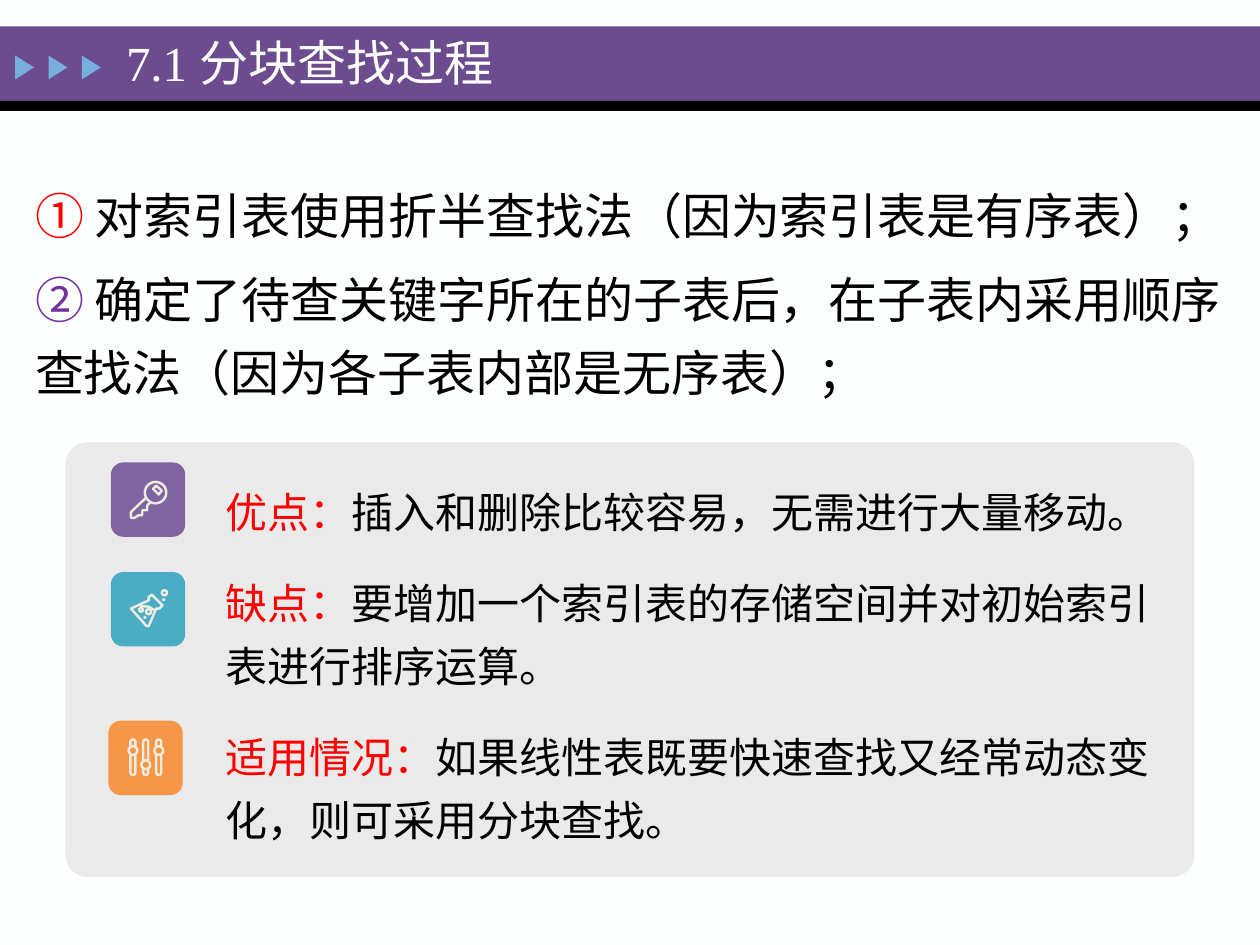
from dataclasses import dataclass

from pptx import Presentation
from pptx.dml.color import RGBColor
from pptx.enum.shapes import MSO_SHAPE
from pptx.enum.text import MSO_ANCHOR, MSO_AUTO_SIZE, PP_ALIGN
from pptx.util import Inches, Pt

RECTANGLE = MSO_SHAPE.RECTANGLE
ROUNDED = MSO_SHAPE.ROUNDED_RECTANGLE
TRIANGLE = MSO_SHAPE.ISOSCELES_TRIANGLE
OVAL = MSO_SHAPE.OVAL
MIDDLE, TOP = MSO_ANCHOR.MIDDLE, MSO_ANCHOR.TOP
LEFT = PP_ALIGN.LEFT
FIXED = MSO_AUTO_SIZE.NONE


@dataclass(frozen=True)
class Theme:
    """Colours, font and sizes of the slide."""

    font: str = "Times New Roman"
    paper: str = "FEFFFF"
    band: str = "6C4C8F"
    ink: str = "000000"
    arrow: str = "76AEDD"
    accent: str = "FF0000"
    second: str = "7030A0"
    panel: str = "EAEAEA"
    stroke: str = "EEECE1"
    purple: str = "8064A2"
    teal: str = "4BACC6"
    orange: str = "F79646"
    large: float = 28
    medium: float = 24
    stroke_width: float = 1.4


THEME = Theme()
STEPS = [
    ("① ", THEME.accent, "对索引表使用折半查找法（因为索引表是有序表）；"),
    ("② ", THEME.second, "确定了待查关键字所在的子表后，在子表内采用顺序查找法（因为各子表内部是无序表）；"),
]
REMARKS = [
    ("优点：", THEME.accent, "插入和删除比较容易，无需进行大量移动。"),
    ("缺点：", THEME.accent, "要增加一个索引表的存储空间并对初始索引表进行排序运算。"),
    ("适用情况：", THEME.accent, "如果线性表既要快速查找又经常动态变化，则可采用分块查找。"),
]
KEY_PATHS = [
    ([(280, 280), (160, 395), (160, 440), (190, 440), (220, 420), (250, 420),
      (250, 380), (290, 380), (290, 340), (320, 315)], False),
    ([(335, 210), (360, 185), (405, 225), (380, 255)], True),
]
KEY_RINGS = [(355, 240, 85)]
FLASK_PATHS = [
    ([(160, 290), (300, 225), (300, 200), (325, 180), (410, 265), (385, 290),
      (360, 290), (300, 430), (285, 430)], True),
    ([(230, 270), (300, 275), (350, 305)], False),
]
FLASK_RINGS = [(300, 315, 20), (425, 165, 20), (240, 300, 15), (270, 360, 3), (420, 220, 3)]
SLIDER_RINGS = [(195, 237, 35), (297, 350, 35), (400, 237, 35)]


def apply_format(target, values):
    """Set each named attribute of the target."""
    for name, value in values.items():
        setattr(target, name, value)


def add_block(shapes, kind, bounds, color):
    """Add a plain filled shape."""
    shape = shapes.add_shape(kind, *map(Inches, bounds))
    shape.shadow.inherit = False
    shape.fill.solid()
    shape.fill.fore_color.rgb = RGBColor.from_string(color)
    shape.line.fill.background()
    return shape


def add_span(para, text, size, color):
    """Add a run of text in one colour."""
    span = para.add_run()
    span.text = text
    apply_format(span.font, {"name": THEME.font, "size": Pt(size), "bold": False})
    span.font.color.rgb = RGBColor.from_string(color)


def add_items(page, bounds, items, size, gap):
    """Add a text box of paragraphs that open with a coloured label."""
    frame = page.shapes.add_textbox(*map(Inches, bounds)).text_frame
    apply_format(frame, {"word_wrap": True, "vertical_anchor": TOP})
    for index, (label, color, text) in enumerate(items):
        para = frame.add_paragraph() if index else frame.paragraphs[0]
        before = Pt(gap if index else 0)
        apply_format(para, {"line_spacing": 1.25, "space_before": before})
        add_span(para, label, size, color)
        add_span(para, text, size, THEME.ink)


def set_title(page, text):
    """Place the title placeholder on top of the header band."""
    title = page.shapes.title
    title.element.getparent().append(title.element)
    bounds = map(Inches, (0.9, 0.21, 8.12, 0.56))
    apply_format(title, dict(zip(("left", "top", "width", "height"), bounds)))
    frame = title.text_frame
    apply_format(frame, {"vertical_anchor": MIDDLE, "auto_size": FIXED, "word_wrap": True})
    para = frame.paragraphs[0]
    para.alignment = LEFT
    add_span(para, text, THEME.large, THEME.paper)


def add_header(page):
    """Add the band, its rule and the three arrows."""
    add_block(page.shapes, RECTANGLE, (0, 0.21, 10, 0.59), THEME.band)
    add_block(page.shapes, RECTANGLE, (0, 0.8, 10, 0.08), THEME.ink)
    for index in range(3):
        left = 0.1 + 0.265 * index
        add_block(page.shapes, TRIANGLE, (left, 0.46, 0.19, 0.15), THEME.arrow).rotation = 90


def outline(shape):
    """Leave only the light stroke of an icon part."""
    shape.shadow.inherit = False
    shape.fill.background()
    shape.line.color.rgb = RGBColor.from_string(THEME.stroke)
    shape.line.width = Pt(THEME.stroke_width)


def slider_paths():
    """Return the stems above and below each slider knob."""
    paths = []
    for x, y, radius in SLIDER_RINGS:
        for end, side in ((150, -1), (430, 1)):
            knob, bend = y + side * radius, end - side * 15
            stem = [(x - 20, knob), (x - 20, bend), (x - 10, end),
                    (x + 10, end), (x + 20, bend), (x + 20, knob)]
            paths.append((stem, False))
    return paths


def add_icon(page, left, top, color, paths, rings):
    """Add a tile with stroked paths and rings in thousandths of an inch."""
    shapes = page.shapes.add_group_shape().shapes
    add_block(shapes, ROUNDED, (left, top, 0.59, 0.59), color)
    for points, closed in paths:
        builder = shapes.build_freeform(*points[0], scale=Inches(0.001))
        builder.add_line_segments(points[1:], close=closed)
        outline(builder.convert_to_shape(Inches(left), Inches(top)))
    for x, y, radius in rings:
        corner = (left + (x - radius) / 1000, top + (y - radius) / 1000)
        size = radius / 500
        outline(shapes.add_shape(OVAL, *map(Inches, (*corner, size, size))))


def main():
    """Build and save the slide."""
    deck = Presentation()
    apply_format(deck, {"slide_width": Inches(10), "slide_height": Inches(7.5)})
    page = deck.slides.add_slide(deck.slide_layouts.get_by_name("Title Only"))
    page.background.fill.solid()
    page.background.fill.fore_color.rgb = RGBColor.from_string(THEME.paper)
    add_header(page)
    set_title(page, "7.1 分块查找过程")
    add_items(page, (0.18, 1.31, 9.65, 1.91), STEPS, THEME.large, 5.6)
    panel = add_block(page.shapes, ROUNDED, (0.52, 3.51, 8.96, 3.45), THEME.panel)
    panel.adjustments[0] = 0.05
    add_items(page, (1.69, 3.71, 7.63, 3.26), REMARKS, THEME.medium, 16)
    add_icon(page, 0.88, 4.54, THEME.teal, FLASK_PATHS, FLASK_RINGS)
    add_icon(page, 0.86, 5.72, THEME.orange, slider_paths(), SLIDER_RINGS)
    add_icon(page, 0.88, 3.67, THEME.purple, KEY_PATHS, KEY_RINGS)
    deck.save("out.pptx")


if __name__ == "__main__":
    main()
